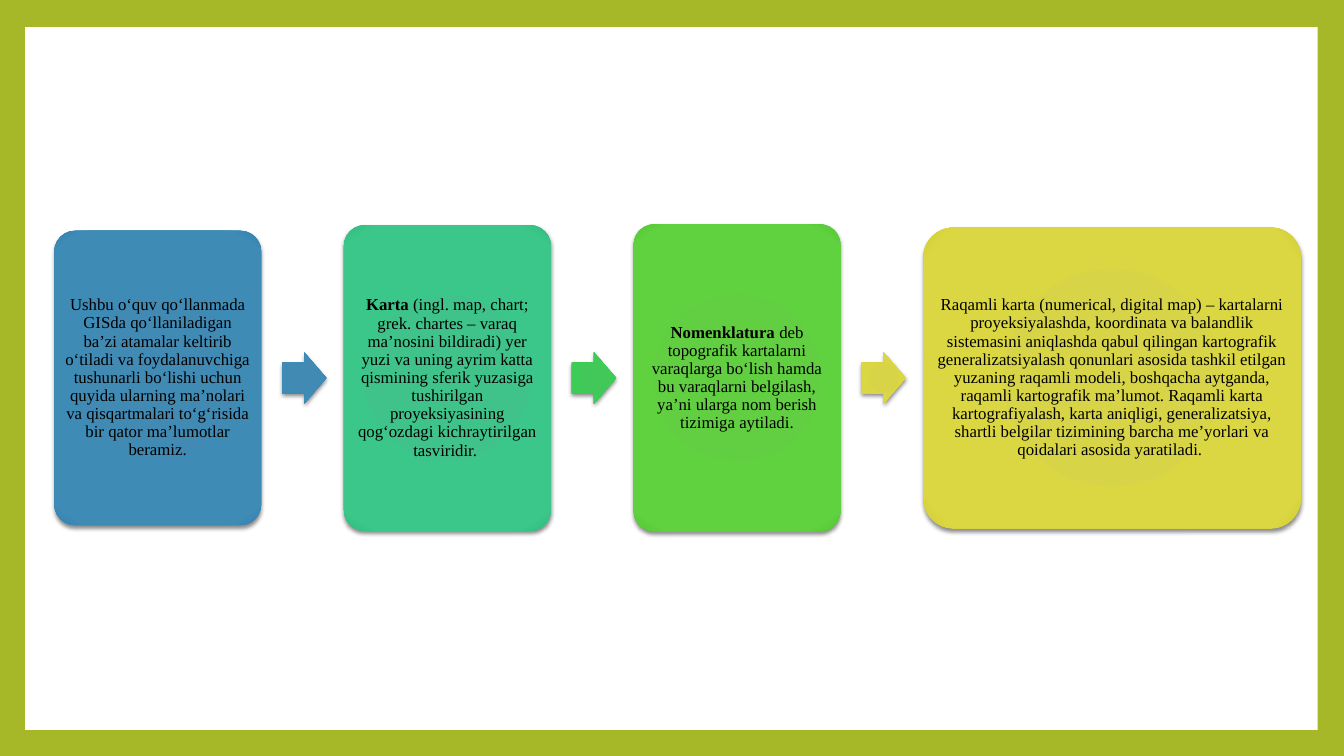
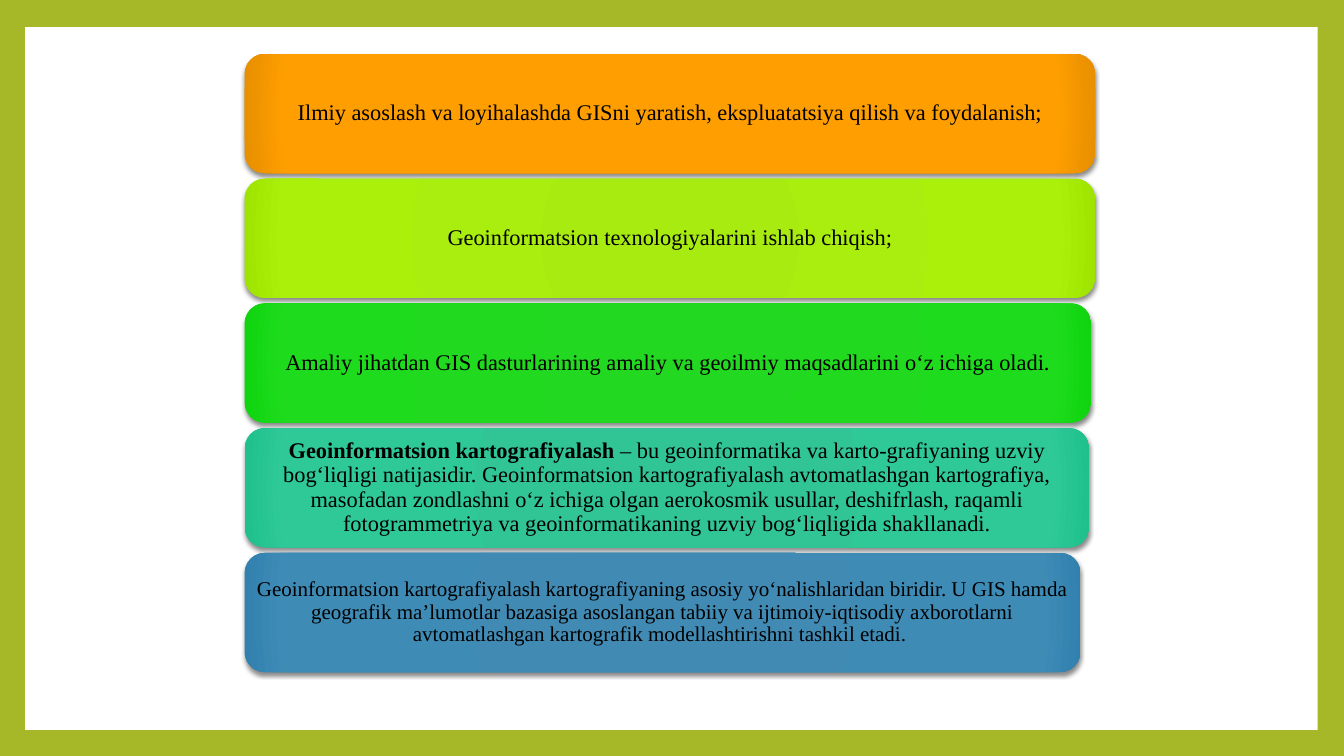
import dataclasses

import pptx
import pptx.dml.color
import pptx.enum.shapes
import pptx.enum.text
import pptx.oxml
import pptx.oxml.ns
import pptx.util

Pt = pptx.util.Pt
RGB = pptx.dml.color.RGBColor
SHAPE = pptx.enum.shapes.MSO_SHAPE


@dataclasses.dataclass(frozen=True)
class Theme:
    """Colours, gradients, type sizes and font of the deck."""

    font: str = "Times New Roman"
    back: str = "A6B727"
    paper: str = "FFFFFF"
    ink: str = "000000"
    card_size: int = 12
    row_size: int = 16
    small_row_size: int = 15
    blue: tuple = ("418AB3", "3E8BB6", "3180AD")
    teal: tuple = ("3FC38A", "3BC78A", "2DBD7F")
    emerald: tuple = ("41C858", "3DCC55", "2EC247")
    green: tuple = ("62CE42", "60D13F", "52C730")
    yellow: tuple = ("D7D447", "DBD743", "D0CD33")
    orange: tuple = ("FE9E00", "FE9E00", "E78F00")
    lime: tuple = ("A8EB11", "AAF00B", "9EE400")
    vivid: tuple = ("23D821", "1EDC1D", "0FD40E")
    mint: tuple = ("31C595", "2EC996", "1FC08C")


T = Theme()

CARDS = [
    (147.8, 210.4, T.blue, None, [
        ("Ushbu oʻquv qoʻllanmada GISda qoʻllaniladigan ba’zi atamalar keltirib oʻtiladi va "
         "foydalanuvchiga tushunarli boʻlishi uchun quyida ularning ma’nolari va qisqartmalari "
         "toʻgʻrisida bir qator ma’lumotlar beramiz.", False)]),
    (147.8, 218.4, T.teal, T.blue, [
        ("Karta", True),
        (" (ingl. map, chart; grek. chartes – varaq ma’nosini bildiradi) yer yuzi va uning ayrim "
         "katta qismining sferik yuzasiga tushirilgan proyeksiyasining qogʻozdagi kichraytirilgan "
         "tasviridir. ", False)]),
    (147.8, 219.6, T.green, T.emerald, [
        ("Nomenklatura ", True),
        ("deb topografik kartalarni varaqlarga boʻlish hamda bu varaqlarni belgilash, ya’ni "
         "ularga nom berish tizimiga aytiladi.", False)]),
    (269.8, 214.8, T.yellow, T.yellow, [
        ("Raqamli karta (numerical, digital map) – kartalarni proyeksiyalashda, koordinata va "
         "balandlik sistemasini aniqlashda qabul qilingan kartografik generalizatsiyalash "
         "qonunlari asosida tashkil etilgan yuzaning raqamli modeli, boshqacha aytganda, raqamli "
         "kartografik ma’lumot. Raqamli karta kartografiyalash, karta aniqligi, generalizatsiya, "
         "shartli belgilar tizimining barcha me’yorlari va qoidalari asosida yaratiladi. ",
         False)]),
]

ROWS = [
    (607.8, T.orange, T.row_size, [
        ("Ilmiy asoslash va loyihalashda GISni yaratish, ekspluatatsiya qilish va foydalanish;",
         False)]),
    (607.8, T.lime, T.row_size, [
        ("Geоinfоrmаtsiоn teхnologiyalarini ishlab chiqish;", False)]),
    (604.8, T.vivid, T.row_size, [
        ("Amaliy jihatdan GIS dasturlarining amaliy va geoilmiy maqsadlarini oʻz ichiga oladi.",
         False)]),
    (603.4, T.mint, T.row_size, [
        ("Geoinformatsion kartografiyalash", True),
        (" – bu geoinformatika va karto-grafiyaning uzviy bogʻliqligi natijasidir. Geoinformatsion "
         "kartografiyalash avtomatlashgan kartografiya, masofadan zondlashni oʻz ichiga olgan "
         "aerokosmik usullar, deshifrlash, raqamli fotogrammetriya va geoinformatikaning uzviy "
         "bogʻliqligida shakllanadi.", False)]),
    (597.2, T.blue, T.small_row_size, [
        ("Geoinformatsion kartografiyalash kartografiyaning asosiy yoʻnalishlaridan biridir. U GIS "
         "hamda geografik ma’lumotlar bazasiga asoslangan tabiiy va ijtimoiy-iqtisodiy ахborotlarni "
         "avtomatlashgan kartografik modellashtirishni tashkil etadi. ", False)]),
]


def add_shape(s, kind, box):
    """Add a preset shape without outline or shadow."""
    sp = s.shapes.add_shape(kind, *(Pt(v) for v in box))
    sp.line.fill.background()
    sp.shadow.inherit = False
    return sp


def add_glossy(s, kind, box, grad):
    """Add a shape with a radial gradient and a soft shadow below."""
    sp = add_shape(s, kind, box)
    ns = pptx.oxml.ns.nsdecls("a")
    stops = "".join(
        f'<a:gs pos="{pos}"><a:srgbClr val="{c}"/></a:gs>'
        for pos, c in zip((0, 90000, 100000), grad))
    fill = pptx.oxml.parse_xml(
        f'<a:gradFill {ns} rotWithShape="1"><a:gsLst>{stops}</a:gsLst><a:path path="circle">'
        '<a:fillToRect l="100000" t="100000" r="100000" b="100000"/></a:path></a:gradFill>')
    shadow = pptx.oxml.parse_xml(
        f'<a:outerShdw {ns} blurRad="{Pt(3)}" dist="{Pt(2)}" dir="5400000" rotWithShape="0">'
        f'<a:srgbClr val="{T.ink}"><a:alpha val="45000"/></a:srgbClr></a:outerShdw>')
    spPr = sp.element.spPr
    spPr.insert(2, fill)
    spPr.find(pptx.oxml.ns.qn("a:effectLst")).append(shadow)
    return sp


def write(sp, runs, size, inset_x, inset_y):
    """Write centred runs into a shape."""
    tf = sp.text_frame
    tf.word_wrap = True
    tf.vertical_anchor = pptx.enum.text.MSO_ANCHOR.MIDDLE
    tf.margin_left = tf.margin_right = Pt(inset_x)
    tf.margin_top = tf.margin_bottom = Pt(inset_y)
    p = tf.paragraphs[0]
    p.alignment = pptx.enum.text.PP_ALIGN.CENTER
    p.line_spacing = 0.9
    for text, bold in runs:
        r = p.add_run()
        r.text = text
        r.font.name = T.font
        r.font.size = Pt(size)
        r.font.bold = bold
        r.font.color.rgb = RGB.from_string(T.ink)


def card_flow(s, box, cards):
    """Place cards left to right, centred on the box, with an arrow before each later card."""
    x, y, w, h = box
    middle = y + h / 2
    arrow_w, arrow_h, before, after = 31.6, 36.6, 15, 12.5
    for card_w, card_h, grad, arrow_grad, runs in cards:
        if arrow_grad:
            x += before
            arrow = add_glossy(s, SHAPE.RIGHT_ARROW,
                               (x, middle - arrow_h / 2, arrow_w, arrow_h), arrow_grad)
            arrow.adjustments[0] = 0.6
            x += arrow_w + after
        card = add_glossy(s, SHAPE.ROUNDED_RECTANGLE,
                          (x, middle - card_h / 2, card_w, card_h), grad)
        card.adjustments[0] = 0.1
        write(card, runs, T.card_size, 3.4, 3.6)
        x += card_w


def row_stack(s, box, rows):
    """Stack rows of equal height down the box."""
    x, y, w, h = box
    gap = 4.1
    row_h = (h - gap * (len(rows) - 1)) / len(rows)
    for i, (row_w, grad, size, runs) in enumerate(rows):
        row = add_glossy(s, SHAPE.ROUNDED_RECTANGLE,
                         (x, y + i * (row_h + gap), row_w, row_h), grad)
        write(row, runs, size, 0.3 * size, 0.15 * size)


def add_framed_slide(prs):
    """Add a blank slide with white paper inside the green border."""
    s = prs.slides.add_slide(prs.slide_layouts[6])
    paper = add_shape(s, SHAPE.RECTANGLE, (18, 19.3, 923.2, 502))
    paper.fill.solid()
    paper.fill.fore_color.rgb = RGB.from_string(T.paper)
    return s


def main():
    """Build the deck."""
    prs = pptx.Presentation()
    prs.slide_width, prs.slide_height = Pt(960), Pt(540)
    back = prs.slide_master.background.fill
    back.solid()
    back.fore_color.rgb = RGB.from_string(T.back)
    card_flow(add_framed_slide(prs), (38.8, 160.2, 890, 219.6), CARDS)
    row_stack(add_framed_slide(prs), (174.7, 38.6, 607.8, 441.4), ROWS)
    prs.save("out.pptx")


if __name__ == "__main__":
    main()
